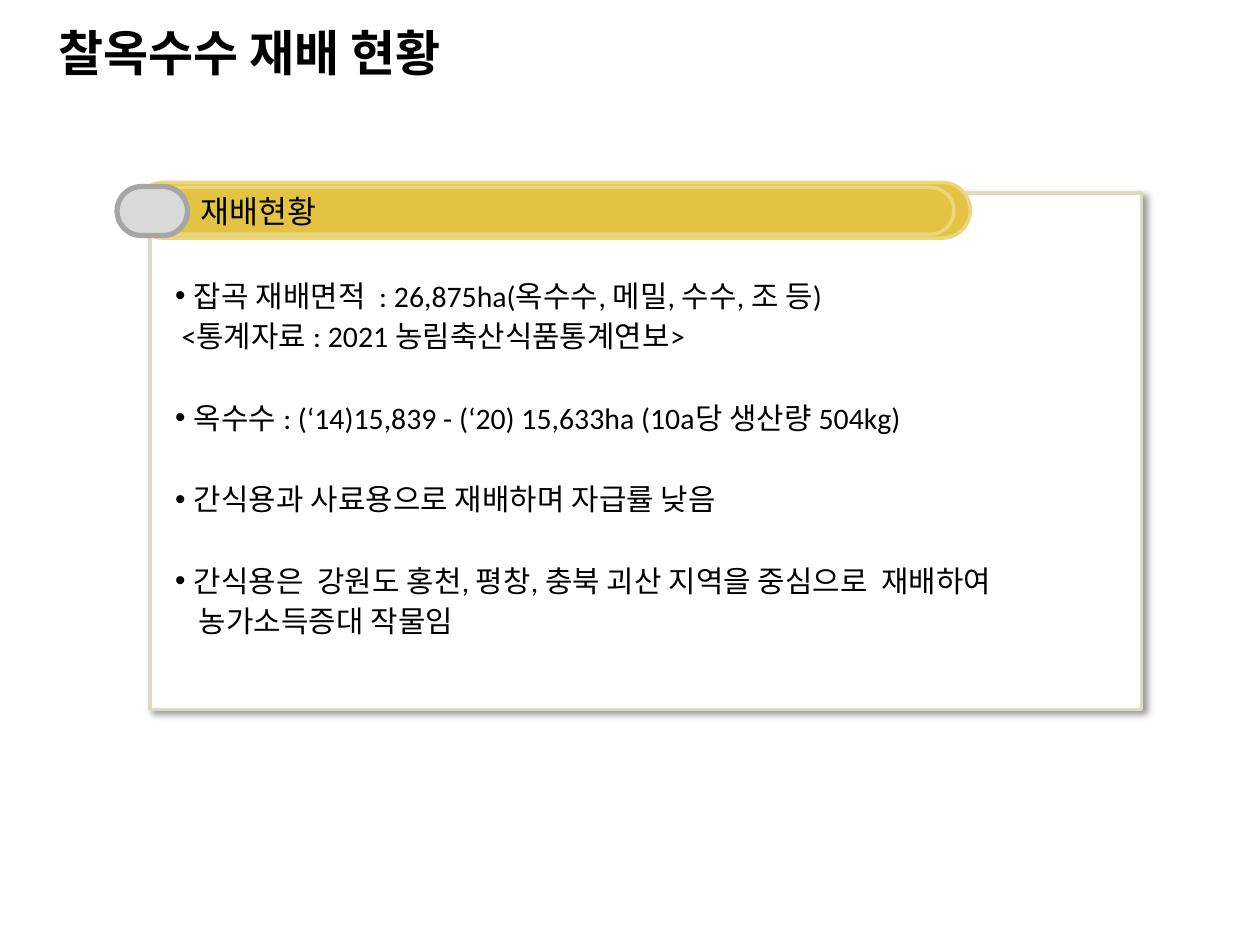
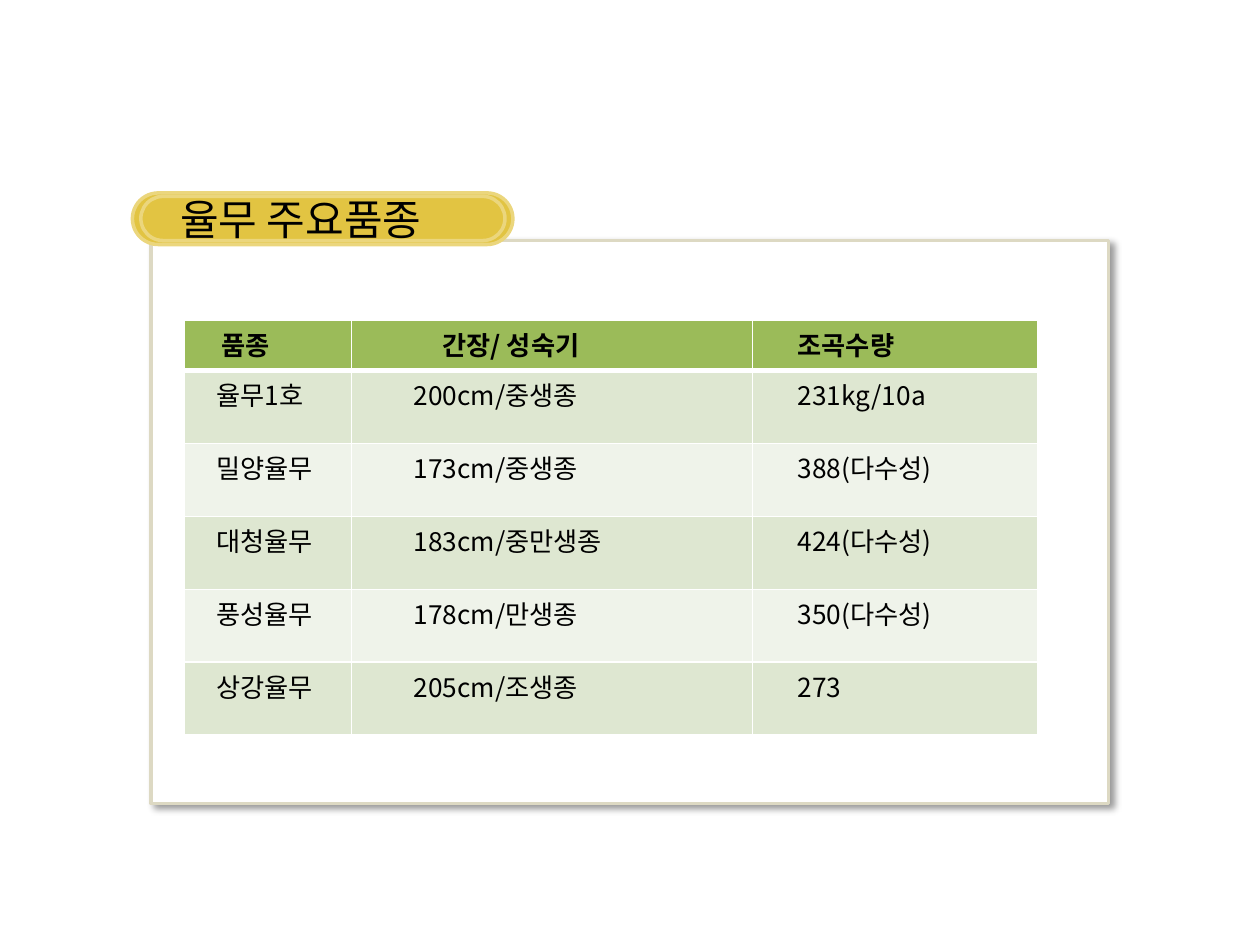
import pptx
import pptx.util
import pptx.dml.color
import pptx.enum.shapes
import pptx.enum.text
import pptx.oxml.ns
from lxml import etree

Cm, Pt = pptx.util.Cm, pptx.util.Pt
RGBColor = pptx.dml.color.RGBColor
qn = pptx.oxml.ns.qn
MSO_SHAPE = pptx.enum.shapes.MSO_SHAPE
MIDDLE = pptx.enum.text.MSO_ANCHOR.MIDDLE
LEFT = pptx.enum.text.PP_ALIGN.LEFT

BLACK = RGBColor(0x00, 0x00, 0x00)
WHITE = RGBColor(0xFF, 0xFF, 0xFF)
PANEL_EDGE = RGBColor(0xDD, 0xD9, 0xC3)
GOLD = RGBColor(0xE2, 0xC4, 0x42)
GOLD_EDGE = RGBColor(0xEB, 0xD6, 0x7D)
KNOB = RGBColor(0xD9, 0xD9, 0xD9)
KNOB_EDGE = RGBColor(0xA6, 0xA6, 0xA6)
HEADER_GREEN = RGBColor(0x9B, 0xBB, 0x59)
BANDS = [RGBColor(0xDE, 0xE7, 0xD1), RGBColor(0xEF, 0xF3, 0xEA)]

HANGUL_FONT = "Noto Sans CJK KR"
BODY_FONT = "Calibri"


def paint(shape, fill, edge, width):
    shape.fill.solid()
    shape.fill.fore_color.rgb = fill
    shape.line.color.rgb = edge
    shape.line.width = Pt(width)
    shape.shadow.inherit = False


def write(paragraph, text, size, face=HANGUL_FONT, bold=False):
    paragraph.alignment = LEFT
    run = paragraph.add_run()
    run.text = text
    for key, value in {"size": Pt(size), "bold": bold, "name": face}.items():
        setattr(run.font, key, value)
    run.font.color.rgb = BLACK
    etree.SubElement(run._r.get_or_add_rPr(), qn("a:ea"), typeface=face)


prs = pptx.Presentation()
prs.slide_width, prs.slide_height = Cm(25.4), Cm(19.05)
status_slide = prs.slides.add_slide(prs.slide_layouts[1])
variety_slide = prs.slides.add_slide(prs.slide_layouts[5])

# Framed panels: the list on slide 1, the backdrop of the table on slide 2
status_list = status_slide.placeholders[1]
variety_panel = variety_slide.shapes.add_shape(
    MSO_SHAPE.RECTANGLE, Cm(3.05), Cm(4.85), Cm(19.3), Cm(11.35))
status_list.left, status_list.top = Cm(3.02), Cm(3.89)
status_list.width, status_list.height = Cm(19.99), Cm(10.41)

for panel in (status_list, variety_panel):
    paint(panel, WHITE, PANEL_EDGE, 2)
    effects = panel._element.spPr.find(qn("a:effectLst"))
    shadow = etree.SubElement(effects, qn("a:outerShdw"), blurRad=str(Pt(4)),
                              dist=str(Pt(3)), dir="2700000", algn="tl", rotWithShape="0")
    tint = etree.SubElement(shadow, qn("a:srgbClr"), val="000000")
    etree.SubElement(tint, qn("a:alpha"), val="40000")

# Gold pills with their inner rim, and the grey knob of slide 1
GOLD_PAINT = (GOLD, GOLD_EDGE, 2)
pill_groups = [
    (status_slide, [((2.72, 3.68, 16.84, 1.12), GOLD_PAINT),
                    ((3.05, 3.78, 16.18, 0.94), GOLD_PAINT),
                    ((2.36, 3.76, 1.42, 0.99), (KNOB, KNOB_EDGE, 3))]),
    (variety_slide, [((2.67, 3.89, 7.67, 1.04), GOLD_PAINT),
                     ((2.84, 3.96, 7.34, 0.89), GOLD_PAINT)]),
]
for slide, pills in pill_groups:
    heading = slide.shapes.add_group_shape()
    for box, colours in pills:
        pill = heading.shapes.add_shape(MSO_SHAPE.ROUNDED_RECTANGLE, *map(Cm, box))
        pill.adjustments[0] = 0.5
        paint(pill, *colours)
    if slide is status_slide:
        label = heading.shapes[1].text_frame
        label.margin_left = Cm(0.85)
        label.vertical_anchor = MIDDLE
        write(label.paragraphs[0], "재배현황", 18)

# Titles; the second one lies on its pill
titles = [
    (status_slide, "찰옥수수 재배 현황", (0.03, 0.51, 15.37, 1.07), 1.14, 28, True),
    (variety_slide, "율무 주요품종", (2.84, 3.96, 7.34, 0.89), 0.79, 24, False),
]
for slide, text, box, indent, size, bold in titles:
    title = slide.shapes.title
    title.left, title.top, title.width, title.height = map(Cm, box)
    frame_format = {"margin_left": Cm(indent), "margin_right": 0, "margin_top": 0,
                    "margin_bottom": 0, "vertical_anchor": MIDDLE, "word_wrap": True,
                    "auto_size": pptx.enum.text.MSO_AUTO_SIZE.NONE}
    for key, value in frame_format.items():
        setattr(title.text_frame, key, value)
    write(title.text_frame.paragraphs[0], text, size, bold=bold)
    slide.shapes._spTree.append(title._element)

# Cultivation list: (text, bulleted, left indent in cm)
status_lines = [
    ("잡곡 재배면적  : 26,875ha(옥수수, 메밀, 수수, 조 등)", True, 0.38),
    ("<통계자료 : 2021 농림축산식품통계연보>", False, 0.13),
    ("옥수수 : (‘14)15,839 - (‘20) 15,633ha (10a당 생산량 504kg)", True, 0.38),
    ("간식용과 사료용으로 재배하며 자급률 낮음", True, 0.38),
    ("간식용은  강원도 홍천, 평창, 충북 괴산 지역을 중심으로  재배하여", True, 0.38),
    ("농가소득증대 작물임", False, 0.48),
]
list_format = {"margin_left": Cm(0.51), "margin_top": Cm(0.41), "margin_right": Cm(0.25),
               "margin_bottom": Cm(0.13), "vertical_anchor": MIDDLE, "word_wrap": True,
               "auto_size": pptx.enum.text.MSO_AUTO_SIZE.NONE}
for key, value in list_format.items():
    setattr(status_list.text_frame, key, value)
for number, (text, bulleted, indent) in enumerate(status_lines):
    frame = status_list.text_frame
    line = frame.add_paragraph() if number else frame.paragraphs[0]
    props = line._p.get_or_add_pPr()
    props.set("marL", str(Cm(indent)))
    props.set("indent", str(-Cm(indent) if bulleted else 0))
    if bulleted:
        etree.SubElement(props, qn("a:buChar"), char="•")
    else:
        etree.SubElement(props, qn("a:buNone"))
    line.space_before = Pt(23.4 if bulleted and number else 0)
    line.space_after = Pt(2.7)
    write(line, text, 17, BODY_FONT)

# Variety table
varieties = [
    ("품종", "간장/ 성숙기", "조곡수량"),
    ("율무1호", "200cm/중생종", "231kg/10a"),
    ("밀양율무", "173cm/중생종", "388(다수성)"),
    ("대청율무", "183cm/중만생종", "424(다수성)"),
    ("풍성율무", "178cm/만생종", "350(다수성)"),
    ("상강율무", "205cm/조생종", "273"),
]
column_widths = [3.38, 8.08, 5.74]
header_indents = [0.76, 1.83, 0.91]
row_indents = [0.65, 1.25, 0.91]
table = variety_slide.shapes.add_table(
    len(varieties), len(column_widths), Cm(3.71), Cm(6.45), Cm(17.2), Cm(8.37)).table
table.horz_banding = False
for column, width in zip(table.columns, column_widths):
    column.width = Cm(width)

for r, variety in enumerate(varieties):
    table.rows[r].height = Cm(1.47 if r else 1.02)
    indents = row_indents if r else header_indents
    for c, text in enumerate(variety):
        cell = table.cell(r, c)
        cell.margin_left = Cm(indents[c])
        cell.margin_top = cell.margin_bottom = Cm(0.1)
        border_widths = {"lnL": 1, "lnR": 1, "lnT": 3 if r == 1 else 1, "lnB": 1 if r else 3}
        for side, width in border_widths.items():
            border = etree.SubElement(cell._tc.get_or_add_tcPr(), qn("a:" + side),
                                      w=str(Pt(width)))
            paint_node = etree.SubElement(border, qn("a:solidFill"))
            etree.SubElement(paint_node, qn("a:srgbClr"), val=str(WHITE))
        cell.fill.solid()
        cell.fill.fore_color.rgb = BANDS[(r - 1) % 2] if r else HEADER_GREEN
        write(cell.text_frame.paragraphs[0], text, 15, bold=r == 0)

prs.save("out.pptx")
